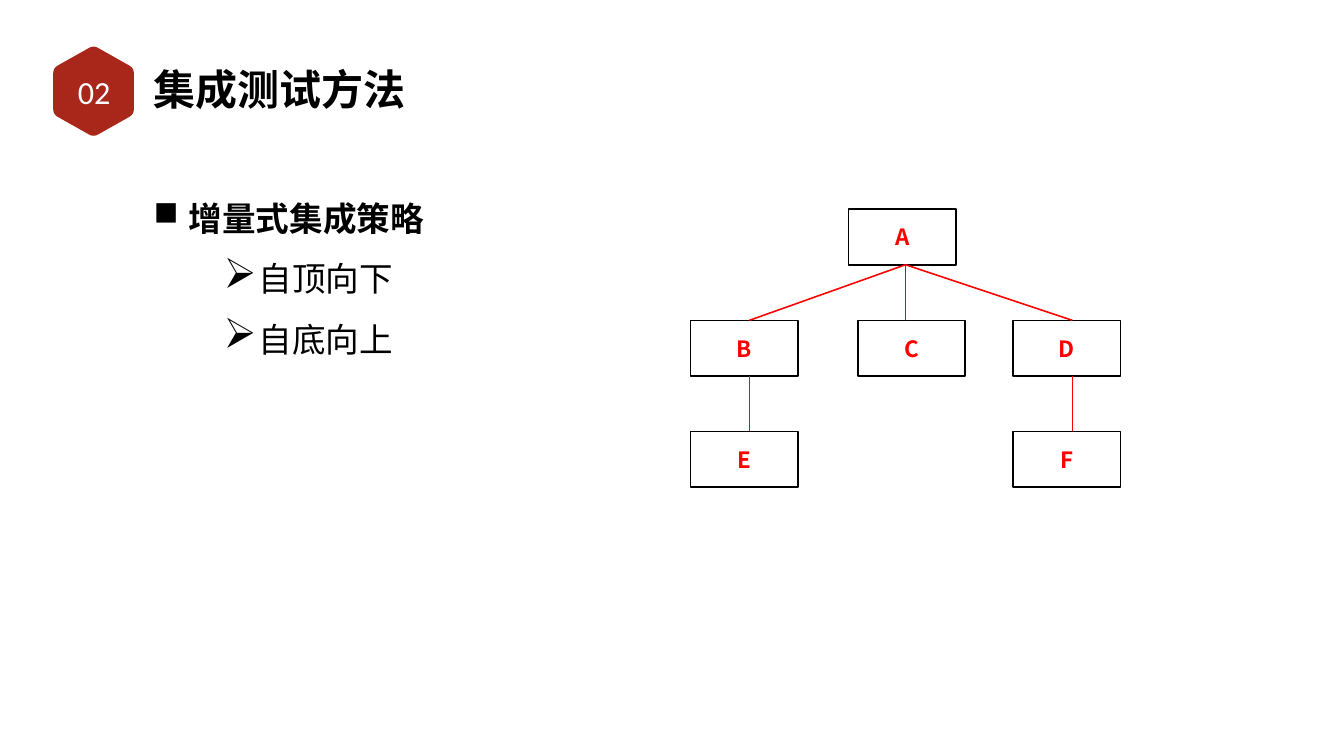
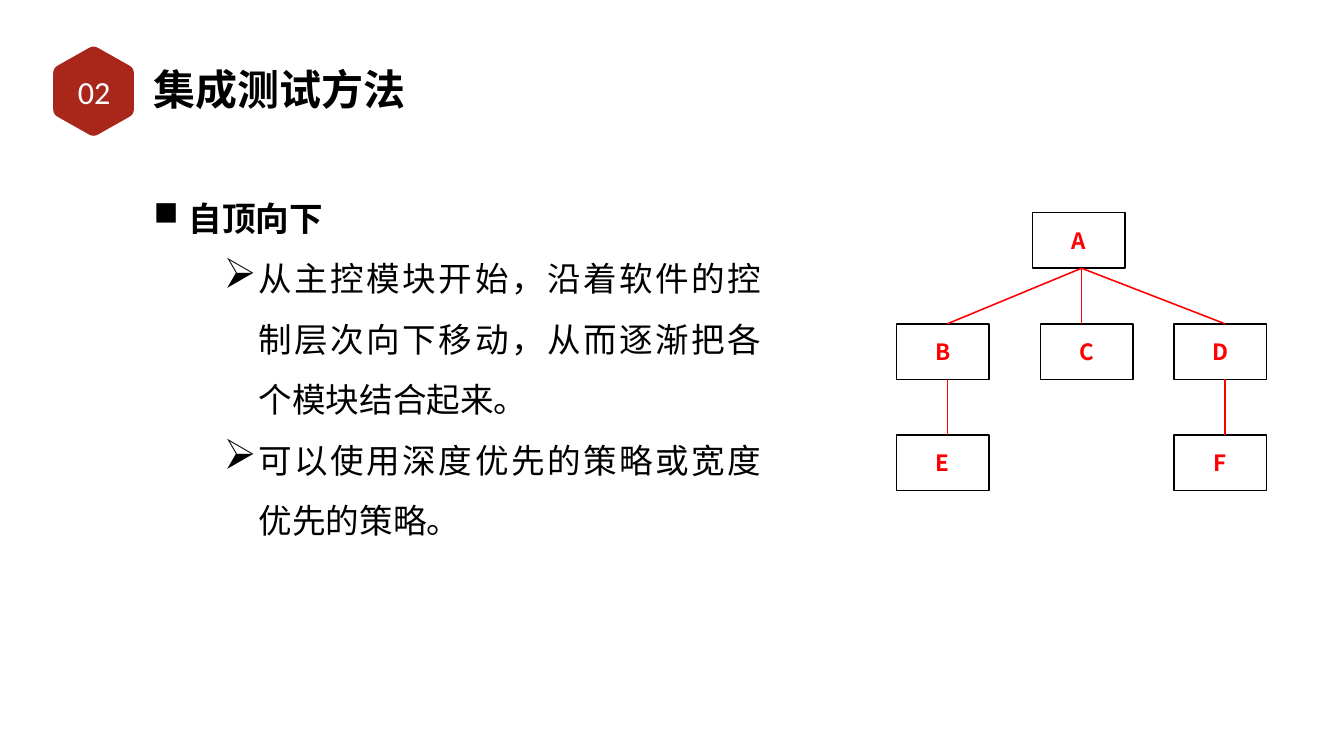
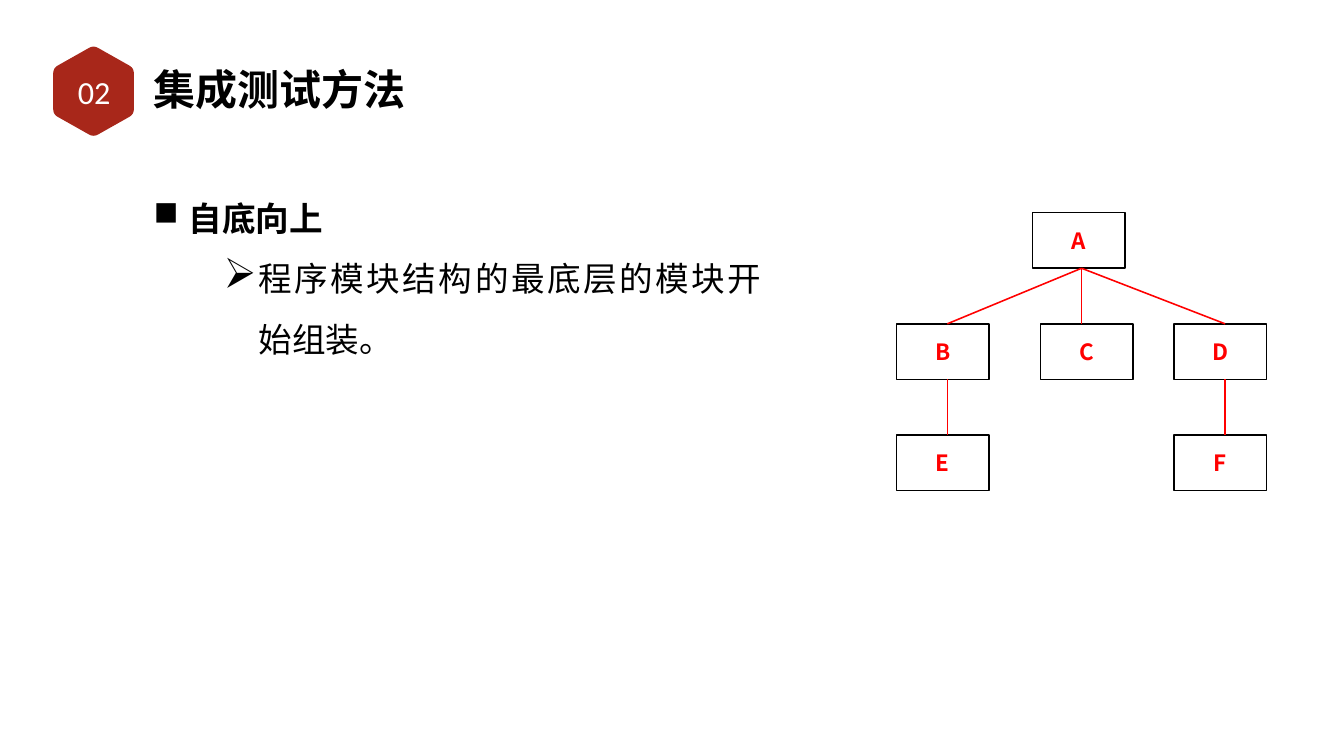
import math

import lxml.etree
import pptx
import pptx.dml.color
import pptx.enum.shapes
import pptx.enum.text
import pptx.oxml.ns
import pptx.util

Pt = pptx.util.Pt
ALIGN = pptx.enum.text.PP_ALIGN
MIDDLE = pptx.enum.text.MSO_ANCHOR.MIDDLE

CRIMSON, RED, BLACK, WHITE = "A8271A", "FF0000", "000000", "FFFFFF"
CHINESE_FONT, NUMBER_FONT = "Noto Sans CJK SC", "Calibri"
LINE_WIDTH = 2.25
INDENT = 50

BADGE_CENTRE = (133.6, 130.3)
BADGE_TIP, BADGE_SHOULDER, BADGE_HALF_HEIGHT = 65.5, 33, 57.6
BADGE_CORNER = 7.5
CURVE_STEPS = 6

NODE_WIDTH, NODE_HEIGHT, LEVEL_STEP = 153.5, 79.4, 158.8
NODES = {"A": (226, 0), "B": (0, 1), "C": (239, 1), "D": (461, 1), "E": (0, 2), "F": (461, 2)}
ROOT_LINE = 307.2
BRANCH_LINES = {"B": 84.2, "C": ROOT_LINE, "D": 545.6}
LEAF_PARENTS = ("B", "D")

SLIDES = [
    {
        "heading": "增量式集成策略",
        "points": ["自顶向下", "自底向上"],
        "body_width": 1518.5,
        "tree": (986.4, 298.8, 1),
    },
    {
        "heading": "自顶向下",
        "points": [
            "从主控模块开始，沿着软件的控制层次向下移动，从而逐渐把各个模块结合起来。",
            "可以使用深度优先的策略或宽度优先的策略。",
        ],
        "body_width": 877,
        "tree": (1280.9, 303.8, 0.86),
    },
    {
        "heading": "自底向上",
        "points": ["程序模块结构的最底层的模块开始组装。"],
        "body_width": 877,
        "tree": (1280.9, 303.8, 0.86),
    },
]


def color(value):
    """Turn a hex string into a colour."""
    return pptx.dml.color.RGBColor.from_string(value)


def add_xml(parent, tag, **attributes):
    """Append a drawing element to a parent."""
    return lxml.etree.SubElement(parent, pptx.oxml.ns.qn(tag), attributes)


def style_paragraph(para, size, fill, name=CHINESE_FONT, bold=False, align=None):
    """Set the font and alignment of a whole paragraph."""
    para.alignment = align
    font = para.font
    font.size, font.bold, font.name = Pt(size), bold, name
    font.color.rgb = color(fill)
    add_xml(font._rPr, "a:ea", typeface=name)


def add_text_box(page, left, top, width, height, inset, anchor=None):
    """Add a wrapping text box and return its text frame."""
    frame = page.shapes.add_textbox(Pt(left), Pt(top), Pt(width), Pt(height)).text_frame
    frame.word_wrap = True
    frame.vertical_anchor = anchor
    frame.margin_left = frame.margin_right = Pt(inset)
    frame.margin_top = frame.margin_bottom = Pt(inset)
    return frame


def between(start, end, share):
    """Return the point at a share of the way from start to end."""
    return tuple(a + (b - a) * share for a, b in zip(start, end))


def rounded_outline(corners, radius):
    """Replace each corner of a polygon by a short curve."""
    outline = []
    for index, corner in enumerate(corners):
        before, after = corners[index - 1], corners[(index + 1) % len(corners)]
        start = between(corner, before, radius / math.dist(corner, before))
        end = between(corner, after, radius / math.dist(corner, after))
        for step in range(CURVE_STEPS + 1):
            share = step / CURVE_STEPS
            outline.append(between(between(start, corner, share), between(corner, end, share), share))
    return outline


def add_badge(page, number):
    """Add the rounded hexagon with the section number."""
    offsets = [
        (-BADGE_TIP, 0),
        (-BADGE_SHOULDER, -BADGE_HALF_HEIGHT),
        (BADGE_SHOULDER, -BADGE_HALF_HEIGHT),
        (BADGE_TIP, 0),
        (BADGE_SHOULDER, BADGE_HALF_HEIGHT),
        (-BADGE_SHOULDER, BADGE_HALF_HEIGHT),
    ]
    corners = [(BADGE_CENTRE[0] + x, BADGE_CENTRE[1] + y) for x, y in offsets]
    outline = [(Pt(x), Pt(y)) for x, y in rounded_outline(corners, BADGE_CORNER)]
    builder = page.shapes.build_freeform(*outline[0])
    builder.add_line_segments(outline[1:], close=True)
    hexagon = builder.convert_to_shape()
    hexagon.rotation = 90
    hexagon.shadow.inherit = False
    hexagon.fill.solid()
    hexagon.fill.fore_color.rgb = color(CRIMSON)
    hexagon.line.fill.background()

    para = add_text_box(page, 72, 92.9, 125.3, 75.6, 3.6, MIDDLE).paragraphs[0]
    para.text = number
    style_paragraph(para, 46, WHITE, NUMBER_FONT, align=ALIGN.CENTER)


def add_title(page, text):
    """Add the slide title."""
    para = add_text_box(page, 215.3, 85, 433.4, 82, 4.3, MIDDLE).paragraphs[0]
    para.text = text
    style_paragraph(para, 60, BLACK, bold=True)


def add_bullet(para, text, symbol, level, spacing, scale=None):
    """Fill a paragraph as a justified bullet of the body text."""
    para.text = text
    para.level = level
    para.line_spacing = spacing
    properties = para._p.get_or_add_pPr()
    properties.set("marL", str(Pt(INDENT * (1 + 2 * level))))
    properties.set("indent", str(-Pt(INDENT)))
    if scale:
        add_xml(properties, "a:buSzPct", val=str(scale * 1000))
    add_xml(properties, "a:buChar", char=symbol)
    style_paragraph(para, 48, BLACK, bold=level == 0, align=ALIGN.JUSTIFY)


def add_body(page, heading, points, width):
    """Add a heading bullet with its points below."""
    frame = add_text_box(page, 215.3, 220.3, width, 806.4, 4.3)
    add_bullet(frame.paragraphs[0], heading, "■", 0, 2.0)
    for point in points:
        add_bullet(frame.add_paragraph(), point, "➢", 1, 1.5, 125)


def add_node(group, label, left, top, width):
    """Add one module box of the tree."""
    box = group.shapes.add_shape(
        pptx.enum.shapes.MSO_SHAPE.RECTANGLE, Pt(left), Pt(top), Pt(width), Pt(NODE_HEIGHT)
    )
    box.shadow.inherit = False
    box.fill.solid()
    box.fill.fore_color.rgb = color(WHITE)
    box.line.color.rgb = color(BLACK)
    box.line.width = Pt(LINE_WIDTH)
    box.text_frame.vertical_anchor = MIDDLE
    para = box.text_frame.paragraphs[0]
    para.text = label
    style_paragraph(para, 32, RED, bold=True, align=ALIGN.CENTER)


def add_line(group, *ends):
    """Add a straight red line from x, y to x, y."""
    line = group.shapes.add_connector(
        pptx.enum.shapes.MSO_CONNECTOR.STRAIGHT, *(Pt(value) for value in ends)
    )
    line.line.color.rgb = color(RED)
    line.line.width = Pt(LINE_WIDTH)
    add_xml(line._element.spPr, "a:effectLst")


def add_module_tree(page, left, top, scale):
    """Add the grouped module tree, scaled in width."""
    group = page.shapes.add_group_shape()
    for label, (offset, level) in NODES.items():
        add_node(group, label, left + offset * scale, top + level * LEVEL_STEP, NODE_WIDTH * scale)
    root = left + ROOT_LINE * scale
    for label, offset in BRANCH_LINES.items():
        branch = left + offset * scale
        add_line(group, branch, top + LEVEL_STEP, root, top + NODE_HEIGHT)
        if label in LEAF_PARENTS:
            add_line(group, branch, top + LEVEL_STEP + NODE_HEIGHT, branch, top + 2 * LEVEL_STEP)


def main():
    """Build the three slides and save the deck."""
    deck = pptx.Presentation()
    deck.slide_width, deck.slide_height = Pt(1920), Pt(1080)
    for content in SLIDES:
        page = deck.slides.add_slide(deck.slide_layouts[6])
        add_badge(page, "02")
        add_title(page, "集成测试方法")
        add_body(page, content["heading"], content["points"], content["body_width"])
        add_module_tree(page, *content["tree"])
    deck.save("out.pptx")


if __name__ == "__main__":
    main()
